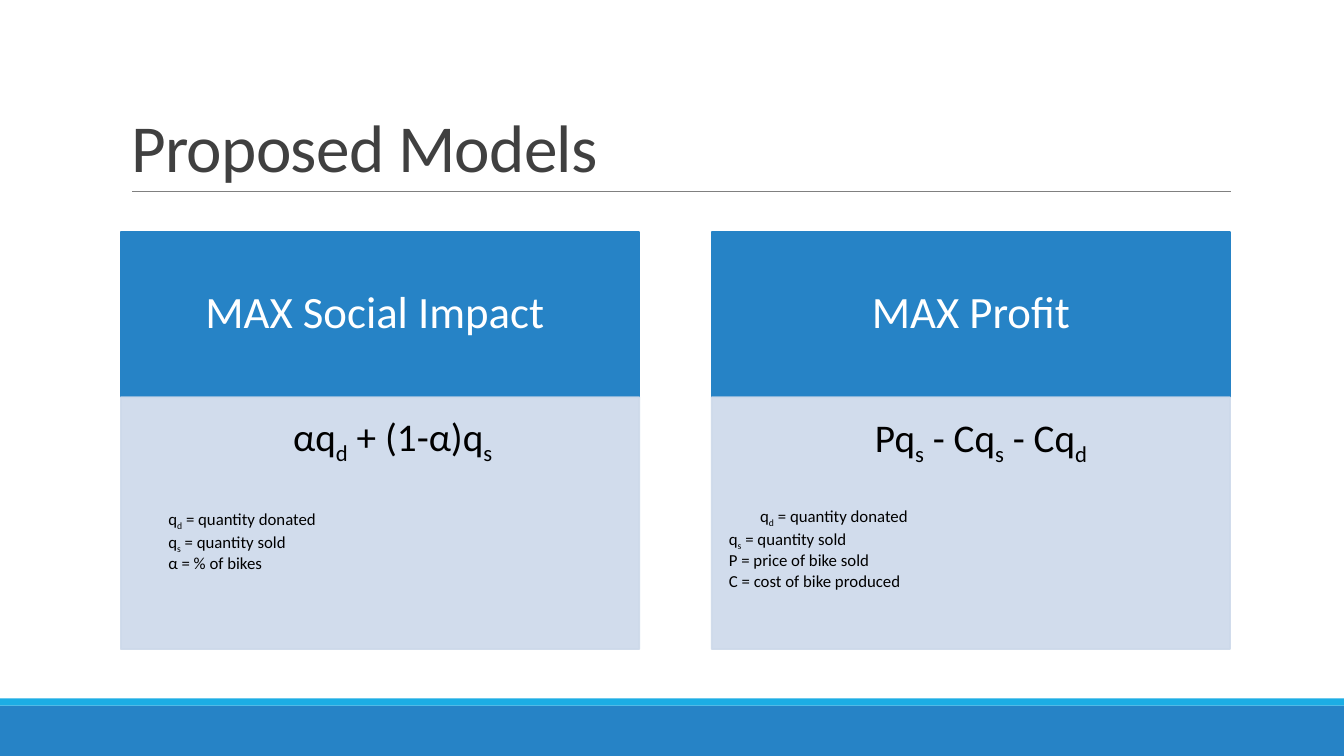
from dataclasses import dataclass

import pptx
import pptx.dml.color
import pptx.enum.shapes
import pptx.enum.text
import pptx.oxml.ns
import pptx.shapes.autoshape
import pptx.slide
import pptx.text.text
import pptx.util
from lxml import etree

Inches = pptx.util.Inches
Pt = pptx.util.Pt
RGBColor = pptx.dml.color.RGBColor
Align = pptx.enum.text.PP_ALIGN
Anchor = pptx.enum.text.MSO_ANCHOR
qn = pptx.oxml.ns.qn

BLUE = RGBColor(0x26, 0x83, 0xC6)
CYAN = RGBColor(0x1C, 0xAD, 0xE4)
PALE = RGBColor(0xCD, 0xD9, 0xEA)
GRAY = RGBColor(0x80, 0x80, 0x80)
DARK = RGBColor(0x40, 0x40, 0x40)
BLACK = RGBColor(0, 0, 0)
WHITE = RGBColor(255, 255, 255)
FONT = "Calibri"

WIDE, HIGH = 13.33, 7.5
CARD_W, HEAD_H, BODY_H = 5.14, 1.64, 2.5
CARD_TOP = 2.3


@dataclass
class Term:
    text: str
    indent: float


@dataclass
class Model:
    left: float
    title: str
    goal: Term
    gap: float
    insets: tuple[float, float, float, float]
    terms: list[Term]


MODELS = [
    Model(1.2, "MAX Social Impact ", Term("αq_d + (1-α)q_s", 0.31), 34,
          (0.16, 0.16, 0.22, 0.24),
          [Term("q_d = quantity donated", 0.31),
           Term("q_s = quantity sold", 0.31),
           Term("α = % of bikes", 0.31)]),
    Model(7.06, "MAX Profit", Term("Pq_s - Cq_s - Cq_d", 0.26), 31,
          (0.17, 0.17, 0.23, 0.25),
          [Term("q_d = quantity donated", 0.31),
           Term("q_s = quantity sold", 0),
           Term("P = price of bike sold", 0),
           Term("C = cost of bike produced", 0)]),
]


def add_run(para: pptx.text.text._Paragraph, text: str, size: float,
            color: RGBColor) -> pptx.text.text._Run:
    run = para.add_run()
    run.text = text
    run.font.size = Pt(size)
    run.font.name = FONT
    run.font.color.rgb = color
    return run


def add_term(para: pptx.text.text._Paragraph, term: Term, size: float) -> None:
    """Write a term, lowering each letter that follows an underscore."""
    first, *rest = term.text.split("_")
    add_run(para, first, size, BLACK)
    for part in rest:
        low = add_run(para, part[0], size, BLACK)
        low.font._element.set("baseline", "-25000")
        if part[1:]:
            add_run(para, part[1:], size, BLACK)
    para.line_spacing = 0.9
    para._p.get_or_add_pPr().set("marL", str(Inches(term.indent)))


def add_box(slide: pptx.slide.Slide, left: float, top: float, width: float,
            height: float, color: RGBColor) -> pptx.shapes.autoshape.Shape:
    box = slide.shapes.add_shape(
        pptx.enum.shapes.MSO_SHAPE.RECTANGLE,
        Inches(left), Inches(top), Inches(width), Inches(height))
    box.shadow.inherit = False
    box.fill.solid()
    box.fill.fore_color.rgb = color
    box.line.fill.background()
    return box


def set_line(box: pptx.shapes.autoshape.Shape, color: RGBColor) -> None:
    box.line.color.rgb = color
    box.line.width = Pt(1.25)


def set_frame(frame: pptx.text.text.TextFrame, anchor: Anchor,
              insets: tuple[float, float, float, float]) -> None:
    frame.word_wrap = True
    frame.vertical_anchor = anchor
    (frame.margin_left, frame.margin_top,
     frame.margin_right, frame.margin_bottom) = map(Inches, insets)


def add_model(slide: pptx.slide.Slide, model: Model) -> None:
    head = add_box(slide, model.left, CARD_TOP, CARD_W, HEAD_H, BLUE)
    set_line(head, BLUE)
    set_frame(head.text_frame, Anchor.MIDDLE, (0.23, 0.13, 0.23, 0.13))
    para = head.text_frame.paragraphs[0]
    para.alignment = Align.CENTER
    para.line_spacing = 0.9
    add_run(para, model.title, 32, WHITE)

    body = add_box(slide, model.left, CARD_TOP + HEAD_H, CARD_W, BODY_H, PALE)
    set_line(body, PALE)
    for tint in body._element.spPr.iter(qn("a:srgbClr")):
        etree.SubElement(tint, qn("a:alpha")).set("val", "90000")
    frame = body.text_frame
    set_frame(frame, Anchor.TOP, model.insets)
    goal = frame.paragraphs[0]
    goal.alignment = Align.CENTER
    goal.space_after = Pt(model.gap)
    add_term(goal, model.goal, 28)
    for term in model.terms:
        para = frame.add_paragraph()
        para.alignment = Align.LEFT
        para.space_after = Pt(1.8)
        add_term(para, term, 12)


def add_title(slide: pptx.slide.Slide, text: str) -> None:
    title = slide.shapes.title
    title.left, title.top = Inches(1.2), Inches(0.31)
    title.width, title.height = Inches(11), Inches(1.59)
    set_frame(title.text_frame, Anchor.BOTTOM, (0.1, 0.05, 0.1, 0.05))
    para = title.text_frame.paragraphs[0]
    para.alignment = Align.LEFT
    para.line_spacing = 0.85
    run = add_run(para, text, 48, DARK)
    run.font._element.set("spc", "-50")


def add_rule(slide: pptx.slide.Slide) -> None:
    rule = slide.shapes.add_connector(
        pptx.enum.shapes.MSO_CONNECTOR.STRAIGHT,
        Inches(1.31), Inches(1.9), Inches(12.21), Inches(1.9))
    rule.line.color.rgb = GRAY
    rule.line.width = Pt(0.5)
    etree.SubElement(rule._element.spPr, qn("a:effectLst"))


def main() -> None:
    deck = pptx.Presentation()
    deck.slide_width, deck.slide_height = Inches(WIDE), Inches(HIGH)
    slide = deck.slides.add_slide(deck.slide_layouts[5])
    add_box(slide, 0, 7, WIDE, 0.5, BLUE)
    add_box(slide, 0, 6.93, WIDE, 0.07, CYAN)
    add_rule(slide)
    add_title(slide, "Proposed Models")
    for model in MODELS:
        add_model(slide, model)
    deck.save("out.pptx")


if __name__ == "__main__":
    main()
